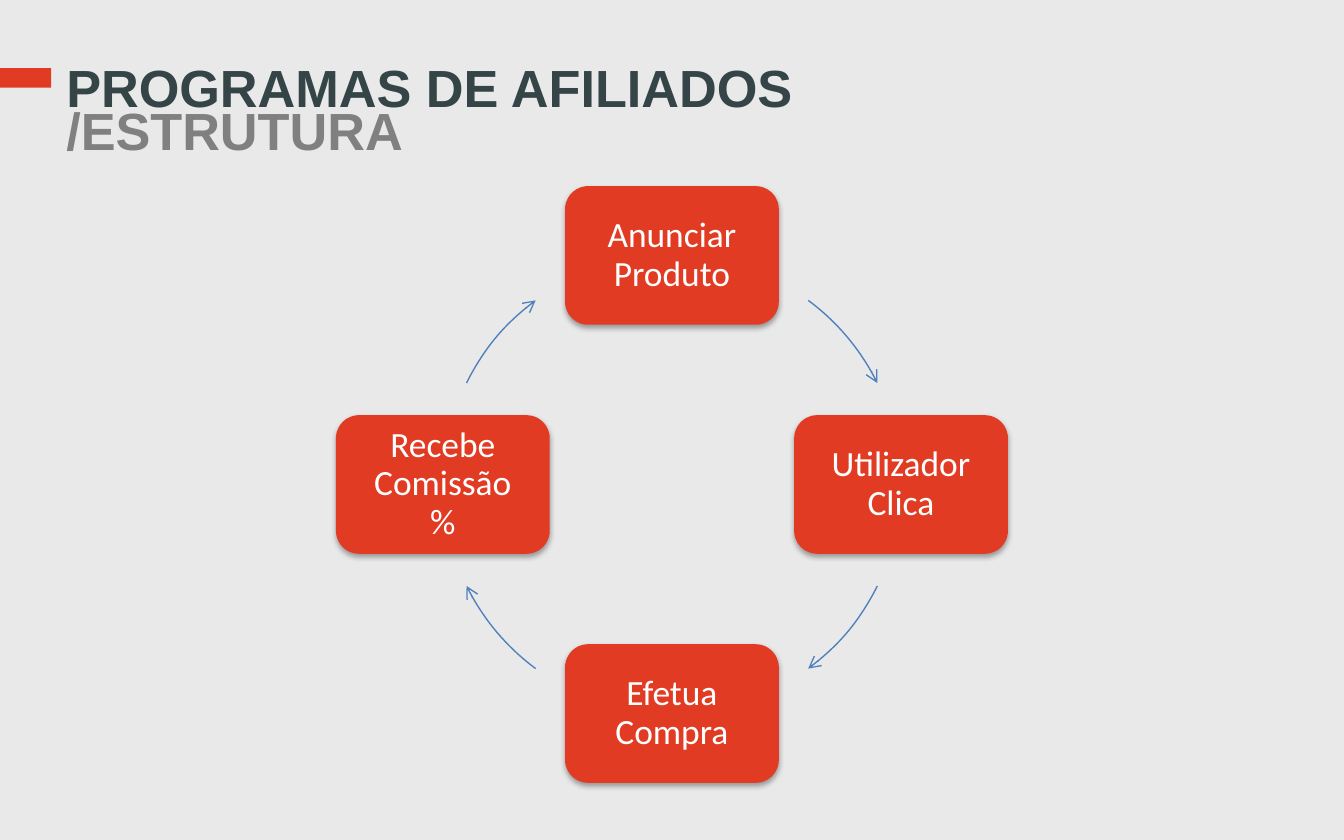
import math

import lxml.etree
import pptx
import pptx.dml.color
import pptx.enum.shapes
import pptx.enum.text
import pptx.oxml.ns
import pptx.util

Cm = pptx.util.Cm
Pt = pptx.util.Pt
Shape = pptx.enum.shapes.MSO_SHAPE
Align = pptx.enum.text.PP_ALIGN
Anchor = pptx.enum.text.MSO_ANCHOR
qn = pptx.oxml.ns.qn


def color(value):
    return pptx.dml.color.RGBColor.from_string(value)


def add_xml(parent, tag, **attributes):
    return lxml.etree.SubElement(parent, qn(tag), attributes)


def add_span(paragraph, text, *, size, font, fill, bold=False):
    span = paragraph.add_run()
    span.text = text
    span.font.size = Pt(size)
    span.font.name = font
    span.font.bold = bold
    span.font.color.rgb = color(fill)


class CyclePage:
    accent = "E13C23"
    background = "E9E9E9"
    dark = "344447"
    gray = "808080"
    arrow_color = "4F81BD"
    white = "FFFFFF"
    title_size = 28
    step_size = 19

    def __init__(self, deck):
        self.page = deck.slides.add_slide(deck.slide_layouts[5])
        fill = self.page.background.fill
        fill.solid()
        fill.fore_color.rgb = color(self.background)

    def shape(self, kind, left, top, width, height):
        shape = self.page.shapes.add_shape(
            kind, Cm(left), Cm(top), Cm(width), Cm(height))
        shape.shadow.inherit = False
        return shape

    def block(self, kind, left, top, width, height):
        """Add a borderless shape in the accent colour."""
        block = self.shape(kind, left, top, width, height)
        block.fill.solid()
        block.fill.fore_color.rgb = color(self.accent)
        block.line.fill.background()
        return block

    def title(self, first, second):
        box = self.page.shapes.title
        box.left, box.top, box.width, box.height = Cm(1), Cm(1.3), Cm(22.86), Cm(2.64)
        frame = box.text_frame
        frame.auto_size = pptx.enum.text.MSO_AUTO_SIZE.NONE
        frame.vertical_anchor = Anchor.TOP
        frame.word_wrap = True
        paragraph = frame.paragraphs[0]
        paragraph.alignment = Align.LEFT
        paragraph.line_spacing = Pt(23)
        style = {"size": self.title_size, "font": "Arial", "bold": True}
        add_span(paragraph, first, fill=self.dark, **style)
        paragraph.add_line_break()
        line_break = paragraph._p.find(qn("a:br"))
        add_xml(line_break, "a:rPr", sz=str(self.title_size * 100))
        add_span(paragraph, second, fill=self.gray, **style)

    def step(self, text, center_x, center_y, width=4.04, height=2.62):
        box = self.block(Shape.ROUNDED_RECTANGLE, center_x - width / 2,
                         center_y - height / 2, width, height)
        self.drop_shadow(box)
        frame = box.text_frame
        frame.word_wrap = True
        frame.vertical_anchor = Anchor.MIDDLE
        frame.margin_left = frame.margin_right = Cm(0.33)
        frame.margin_top = frame.margin_bottom = Cm(0.33)
        paragraph = frame.paragraphs[0]
        paragraph.alignment = Align.CENTER
        paragraph.line_spacing = 0.9
        add_span(paragraph, text, size=self.step_size, font="Calibri", fill=self.white)

    def drop_shadow(self, box):
        effects = box._element.spPr.find(qn("a:effectLst"))
        shadow = add_xml(effects, "a:outerShdw", blurRad=str(Pt(3.1)),
                         dist=str(Pt(1.8)), dir="5400000", rotWithShape="0")
        shade = add_xml(shadow, "a:srgbClr", val="000000")
        add_xml(shade, "a:alpha", val="35000")

    def arc_arrow(self, center_x, center_y, radius, start, end):
        """Add a clockwise arc; angles are degrees from three o'clock."""
        arc = self.shape(Shape.ARC, center_x - radius, center_y - radius,
                         2 * radius, 2 * radius)
        # Arc angles are stored in 1/60000 degree, adjustments in 1/100000.
        for index, angle in enumerate((start, end)):
            arc.adjustments[index] = angle % 360 * 0.6
        arc.fill.background()
        arc.line.color.rgb = color(self.arrow_color)
        arc.line.width = Pt(0.75)
        add_xml(arc.line._get_or_add_ln(), "a:tailEnd", type="arrow")

    def cycle(self, steps, center_x, center_y, radius):
        """Place the steps clockwise from the top, with arrows between them."""
        turn = 360 / len(steps)
        for index, text in enumerate(steps):
            angle = index * turn - 90
            self.step(text, center_x + radius * math.cos(math.radians(angle)),
                      center_y + radius * math.sin(math.radians(angle)))
            # Wide boxes leave a larger gap beside the top and bottom steps.
            before, after = (36.5, 26.3) if index % 2 == 0 else (26.3, 36.5)
            self.arc_arrow(center_x, center_y, radius,
                           angle + before, angle + turn - after)


def main():
    deck = pptx.Presentation()
    deck.slide_width, deck.slide_height = Cm(25.4), Cm(15.88)
    page = CyclePage(deck)
    page.block(Shape.RECTANGLE, 0, 1.29, 0.97, 0.37)
    page.title("PROGRAMAS DE AFILIADOS", "/ESTRUTURA")
    steps = ["Anunciar Produto", "Utilizador Clica", "Efetua Compra",
             "Recebe Comissão %"]
    page.cycle(steps, center_x=12.7, center_y=9.16, radius=4.33)
    deck.save("out.pptx")


if __name__ == "__main__":
    main()
